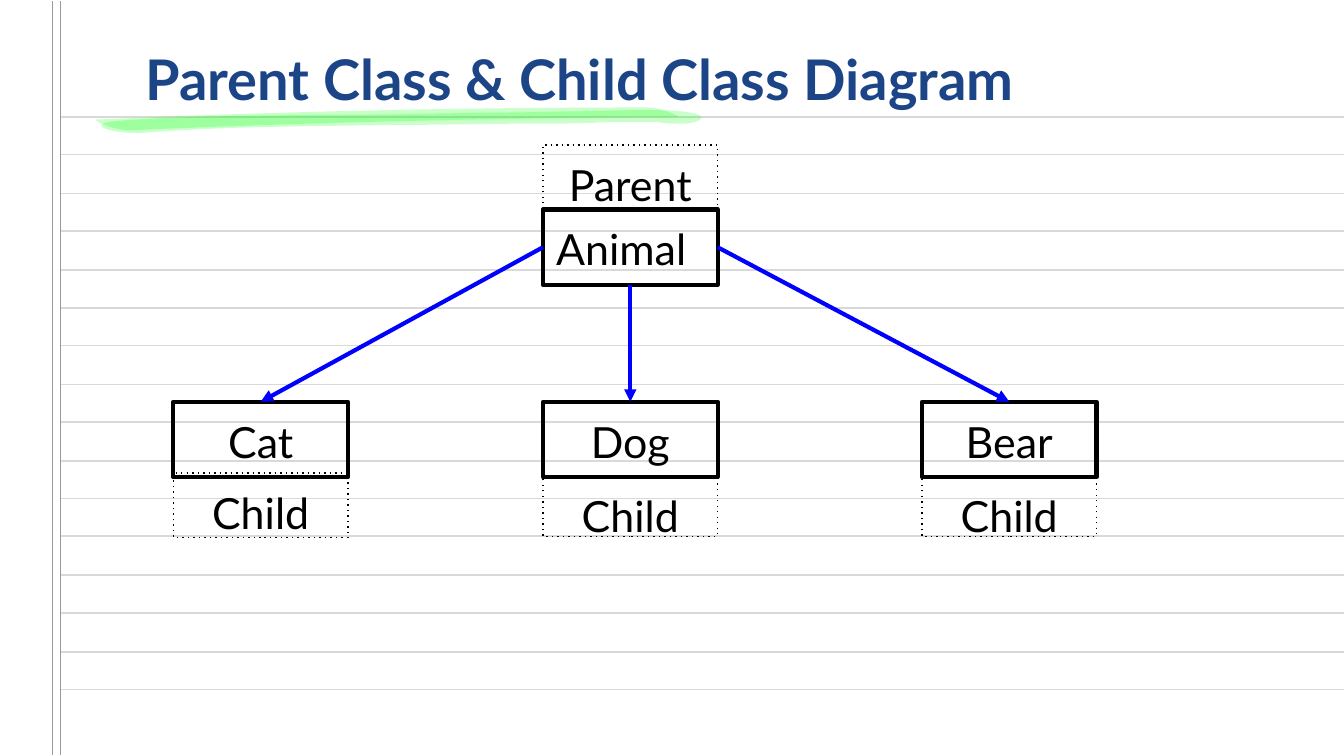
from lxml import etree
from pptx import Presentation, util as u
from pptx.dml.color import RGBColor
from pptx.enum import dml, shapes, text
from pptx.oxml.ns import qn

PX = 9144  # 100 px to the inch
WIDE, FOOT = 1000, 562
FONT = "Lato"
HEX = {
    "rule": "D9D9D9",
    "margin": "999999",
    "title": "1C4587",
    "marker": "00FF00",
    "ink": "000000",
    "arrow": "0000FF",
}
BOX_W, BOX_H = 130, 56
PARENT = (404, 156)
KIDS_Y = 299
# name, left, then top and height of the tag below
KIDS = [("Cat", 129, 352, 48), ("Dog", 404, 354, 45), ("Bear", 686, 354, 45)]

# Marker strokes: a start point, then cubic curves of three points each
STROKES = [
    ((481, 80), [
        (343, 80, 206, 83, 72, 89), (68, 89, 84, 97, 96, 97),
        (230, 91, 367, 88, 505, 87), (505, 87, 494, 80, 481, 80)]),
    ((478, 82), [
        (458, 82, 435, 83, 419, 83), (380, 84, 340, 84, 301, 85),
        (230, 86, 154, 85, 87, 90), (64, 92, 78, 99, 104, 99),
        (164, 94, 231, 94, 295, 93), (331, 93, 366, 92, 401, 92),
        (417, 92, 433, 92, 449, 91), (457, 91, 465, 91, 491, 91),
        (494, 92, 498, 92, 508, 92), (516, 92, 520, 90, 522, 88),
        (523, 86, 517, 84, 508, 83), (500, 82, 489, 82, 478, 82)]),
]


def px(*nums):
    return [u.Emu(round(n * PX)) for n in nums]


def color(name):
    return RGBColor.from_string(HEX[name])


def add_line(slide, start, end, name, width, head=False):
    line = slide.shapes.add_connector(
        shapes.MSO_CONNECTOR.STRAIGHT, *px(*start, *end))
    line.line.color.rgb = color(name)
    line.line.width = u.Pt(width)
    props = line._element.spPr
    if head:
        etree.SubElement(props.find(qn("a:ln")), qn("a:tailEnd"),
                         type="triangle")
    etree.SubElement(props, qn("a:effectLst"))


def add_paper(slide):
    for i in range(16):
        y = round(87 + 28.4 * i)
        add_line(slide, (45, y), (WIDE, y), "rule", 0.86)
    for x in (39, 45):
        add_line(slide, (x, 1), (x, FOOT), "margin", 0.62)


def set_text(shape, words, size, name, inset, align, bold=False):
    frame = shape.text_frame
    frame.word_wrap = True
    frame.auto_size = text.MSO_AUTO_SIZE.NONE
    frame.vertical_anchor = text.MSO_ANCHOR.TOP
    (frame.margin_left, frame.margin_top,
     frame.margin_right, frame.margin_bottom) = px(*[inset] * 4)
    par = frame.paragraphs[0]
    par.text = words
    par.alignment = align
    par.font.name = FONT
    par.font.size = u.Pt(size)
    par.font.bold = bold
    par.font.color.rgb = color(name)


def set_title(slide, words):
    title = slide.shapes.title
    title.left, title.top, title.width, title.height = px(48, 33, 767, 56)
    set_text(title, words, 30, "title", 0, text.PP_ALIGN.CENTER, True)
    tree = title._element.getparent()
    tree.append(title._element)  # in front of the paper


def add_box(slide, words, x, y, high=BOX_H, tag=False,
            align=text.PP_ALIGN.CENTER):
    box = slide.shapes.add_shape(
        shapes.MSO_SHAPE.RECTANGLE, *px(x, y, BOX_W, high))
    box.shadow.inherit = False
    box.fill.background()
    box.line.color.rgb = color("ink")
    box.line.width = u.Pt(0.75 if tag else 2.25)
    if tag:
        box.line.dash_style = dml.MSO_LINE.ROUND_DOT
        dash = box._element.spPr.find(".//" + qn("a:prstDash"))
        dash.set("val", "dot")  # wider gaps than the round dot
    set_text(box, words, 23, "ink", 10, align)


def trace(start, curves, steps=12):
    """Return points along a chain of cubic curves."""
    points = []
    ax, ay = start
    for bx, by, cx, cy, dx, dy in curves:
        for i in range(1, steps + 1):
            t = i / steps
            s = 1 - t
            k = (s ** 3, 3 * s * s * t, 3 * s * t * t, t ** 3)
            points.append(tuple(
                sum(a * b for a, b in zip(k, axis))
                for axis in ((ax, bx, cx, dx), (ay, by, cy, dy))))
        ax, ay = dx, dy
    return points


def add_stroke(slide, start, curves):
    pen = slide.shapes.build_freeform(*px(*start))
    pen.add_line_segments([px(*point) for point in trace(start, curves)])
    stroke = pen.convert_to_shape()
    stroke.shadow.inherit = False
    stroke.line.fill.background()
    stroke.fill.solid()
    stroke.fill.fore_color.rgb = color("marker")
    tint = stroke._element.spPr.find(".//" + qn("a:srgbClr"))
    etree.SubElement(tint, qn("a:alpha"), val="21000")


def add_tree(slide):
    x, y = PARENT
    add_box(slide, "Animal", x, y, align=text.PP_ALIGN.LEFT)
    add_box(slide, "Parent", x, 108, 48, tag=True)
    mid = y + BOX_H // 2
    ports = [(x, mid), (x + BOX_W // 2, y + BOX_H), (x + BOX_W, mid)]
    for port, (name, left, top, high) in zip(ports, KIDS):
        add_box(slide, name, left, KIDS_Y)
        add_line(slide, port, (left + BOX_W // 2, KIDS_Y), "arrow", 2.25, True)
        add_box(slide, "Child", left, top, high, tag=True)


def main():
    deck = Presentation()
    deck.slide_width = u.Emu(WIDE * PX)
    deck.slide_height = u.Emu(deck.slide_width * 9 // 16)
    slide = deck.slides.add_slide(deck.slide_layouts[5])
    add_paper(slide)
    set_title(slide, "Parent Class & Child Class Diagram")
    for start, curves in STROKES:
        add_stroke(slide, start, curves)
    add_tree(slide)
    deck.save("out.pptx")


if __name__ == "__main__":
    main()
